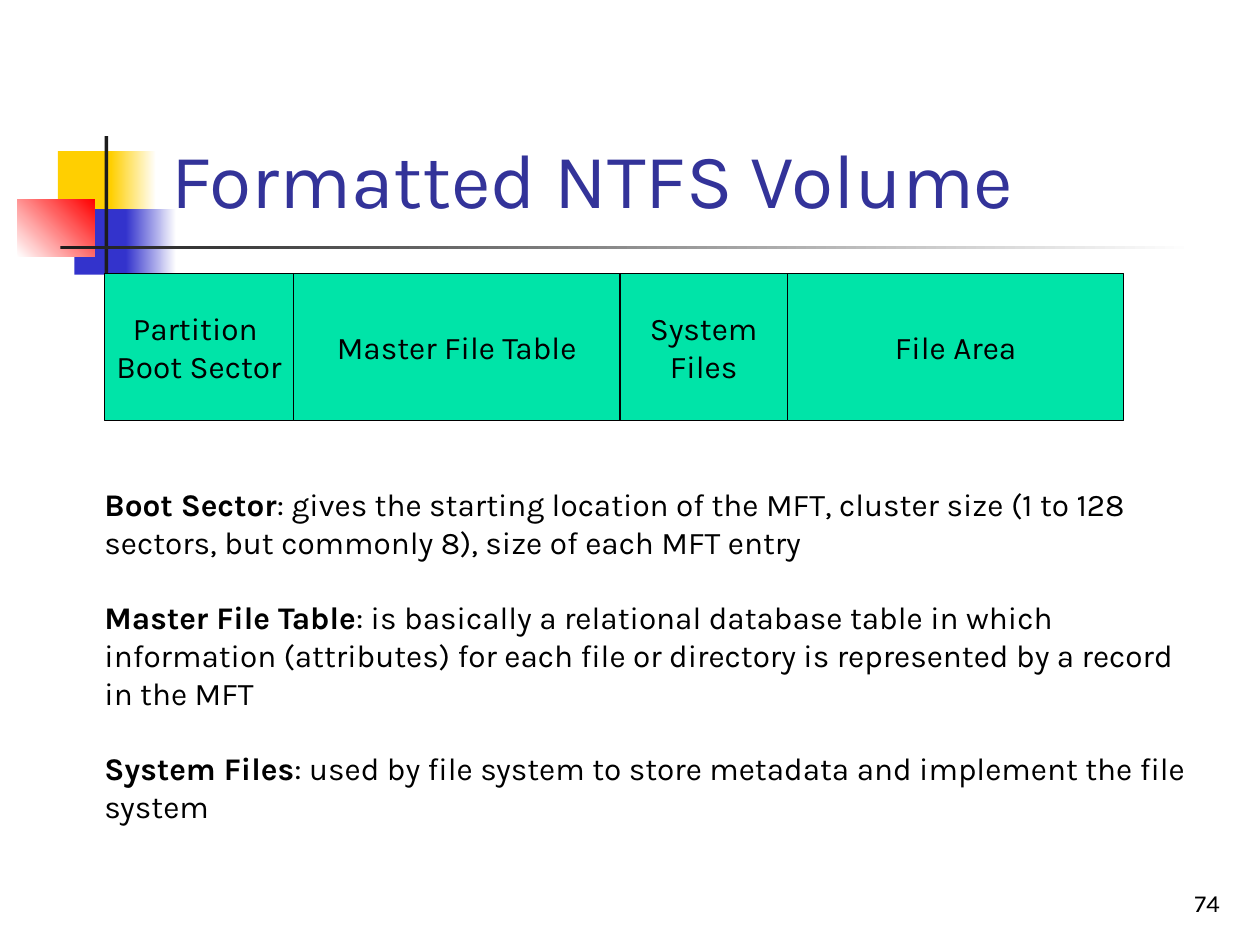
"""Build the slide on the layout of a formatted NTFS volume."""
import itertools

import pptx
import pptx.dml.color
import pptx.enum.shapes
import pptx.enum.text
import pptx.util
from pptx.util import Inches

COLORS = {
    "yellow": "FFCF01",
    "blue": "3333CC",
    "red": "FF0000",
    "white": "FFFFFF",
    "dark": "1C1C1C",
    "title": "333399",
    "green": "00E4A8",
    "black": "000000",
}
ALIGN = pptx.enum.text.PP_ALIGN
ANCHOR = pptx.enum.text.MSO_ANCHOR


def rgb(name):
    """Return the named colour."""
    return pptx.dml.color.RGBColor.from_string(COLORS[name])


def add_text(shape, paragraphs, size, color="black", align=ALIGN.LEFT,
             anchor=ANCHOR.TOP, wrap=True, gap=0):
    """Fill a shape with paragraphs, each a list of (text, bold) runs."""
    frame = shape.text_frame
    frame.word_wrap = wrap
    frame.vertical_anchor = anchor
    for index, runs in enumerate(paragraphs):
        paragraph = frame.add_paragraph() if index else frame.paragraphs[0]
        paragraph.alignment = align
        if index and gap:
            paragraph.space_before = pptx.util.Pt(gap)
        for text, bold in runs:
            run = paragraph.add_run()
            run.text = text
            run.font.name = "Karla"
            run.font.size = pptx.util.Pt(size)
            run.font.bold = bold
            run.font.color.rgb = rgb(color)


presentation = pptx.Presentation()
presentation.slide_width = Inches(10)
presentation.slide_height = Inches(7.5)
slide = presentation.slides.add_slide(presentation.slide_layouts[6])
rectangle = pptx.enum.shapes.MSO_SHAPE.RECTANGLE

decorations = [
    (0.46, 1.2, 0.48, 0.52, ["yellow"], 0),
    (0.88, 1.2, 0.36, 0.52, ["yellow", "white"], 0),
    (0.59, 1.66, 0.46, 0.52, ["blue"], 0),
    (1, 1.66, 0.4, 0.52, ["blue", "white"], 0),
    (0.14, 1.58, 0.61, 0.46, ["white", "red"], 45),
    (0.83, 1.08, 0.03, 1.15, ["dark"], 0),
    (0.48, 1.95, 9, 0.03, ["dark", "white"], 0),
]
for left, top, width, height, fills, angle in decorations:
    shape = slide.shapes.add_shape(
        rectangle, Inches(left), Inches(top), Inches(width), Inches(height))
    shape.shadow.inherit = False
    shape.line.fill.background()
    if len(fills) == 1:
        shape.fill.solid()
        shape.fill.fore_color.rgb = rgb(fills[0])
    else:
        shape.fill.gradient()
        shape.fill.gradient_angle = angle
        for stop, color in zip(shape.fill.gradient_stops, fills):
            stop.color.rgb = rgb(color)

title = slide.shapes.add_textbox(
    Inches(1.26), Inches(0.23), Inches(8.52), Inches(1.6))
add_text(title, [[("Formatted NTFS Volume", False)]], 44, "title",
         anchor=ANCHOR.BOTTOM)

region_edges = [0.83, 2.33, 4.92, 6.25, 8.92]
region_labels = [
    ["Partition ", "Boot Sector"],
    ["Master File Table"],
    ["System", "Files"],
    ["File Area"],
]
for (left, right), lines in zip(itertools.pairwise(region_edges), region_labels):
    region = slide.shapes.add_shape(
        rectangle, Inches(left), Inches(2.17), Inches(right - left), Inches(1.17))
    region.shadow.inherit = False
    region.fill.solid()
    region.fill.fore_color.rgb = rgb("green")
    region.line.color.rgb = rgb("black")
    region.line.width = pptx.util.Pt(0.75)
    add_text(region, [[(line, False)] for line in lines], 18,
             align=ALIGN.CENTER, anchor=ANCHOR.MIDDLE, wrap=False)

definitions = [
    ("Boot Sector", ": gives the starting location of the MFT, cluster size "
     "(1 to 128 sectors, but commonly 8), size of each MFT entry"),
    ("Master File Table", ": is basically a relational database table in which "
     "information (attributes) for each file or directory is represented by "
     "a record in the MFT"),
    ("System Files", ": used by file system to store metadata and implement "
     "the file system"),
]
body = slide.shapes.add_textbox(
    Inches(0.73), Inches(3.8), Inches(8.85), Inches(3.1))
add_text(body, [[(term, True), (meaning, False)] for term, meaning in definitions],
         18, gap=21.5)

number = slide.shapes.add_textbox(
    Inches(7.7), Inches(6.83), Inches(2.08), Inches(0.5))
add_text(number, [[("74", False)]], 14, align=ALIGN.RIGHT, anchor=ANCHOR.BOTTOM)

presentation.save("out.pptx")
